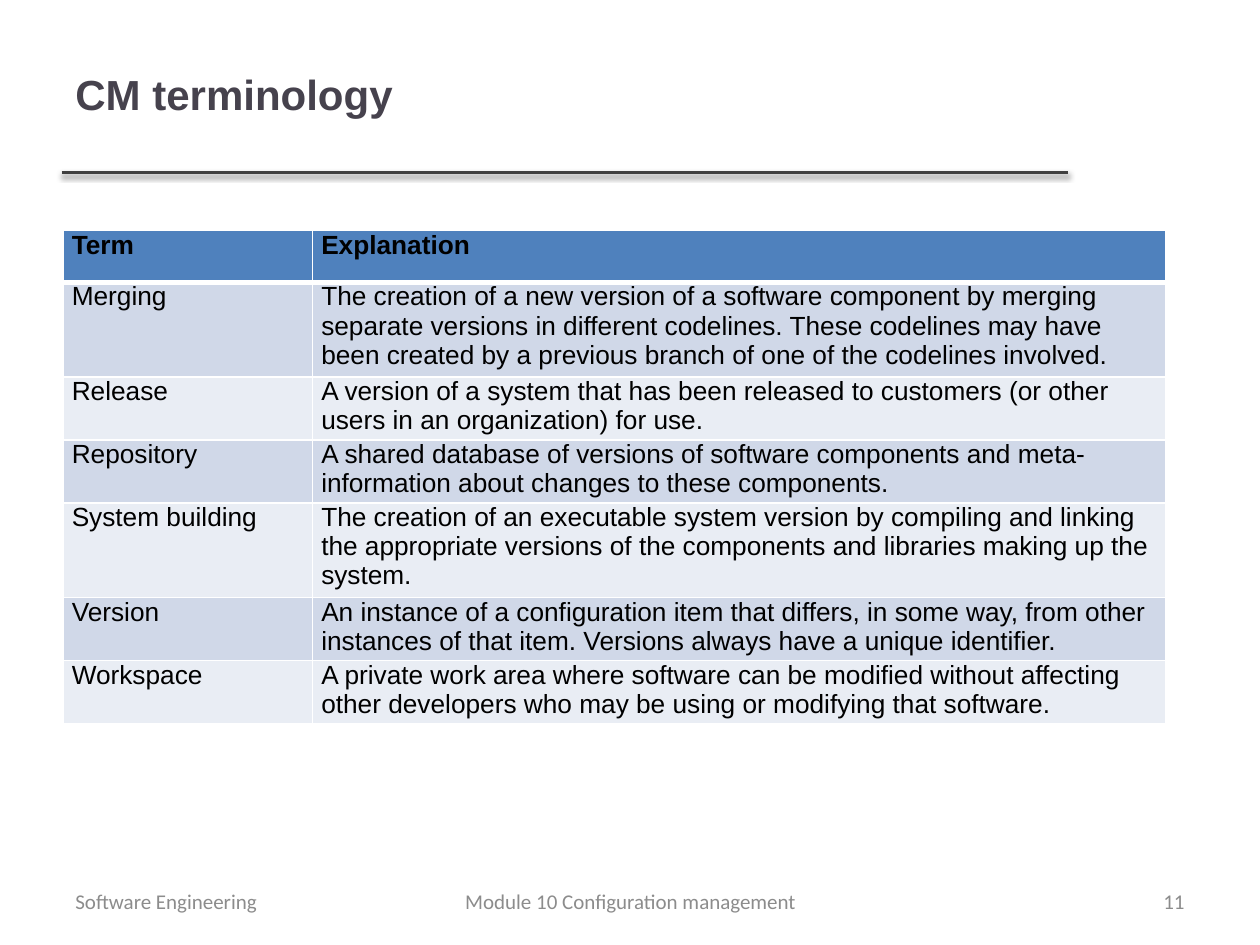
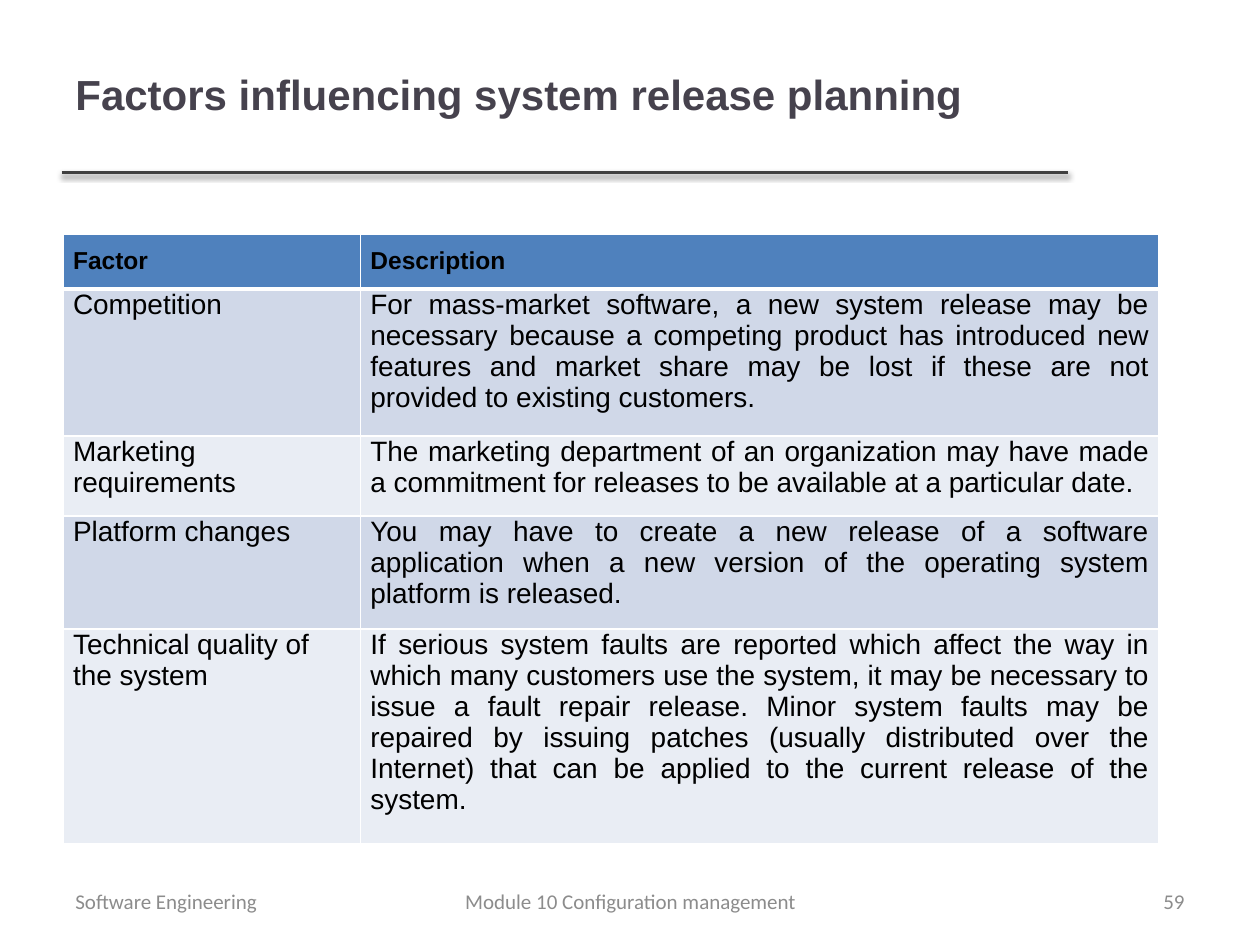
from dataclasses import dataclass

from lxml import etree
from pptx import Presentation
from pptx import util as u
from pptx.dml.color import RGBColor
from pptx.enum import shapes, text
from pptx.oxml import ns

SLIDE_WIDTH, SLIDE_HEIGHT = u.Inches(10), u.Inches(7.5)
COLUMN = SLIDE_WIDTH / 100
ROW = SLIDE_HEIGHT / 75

WHITE, BLACK = "FFFFFF", "000000"
TITLE_COLOR, RULE_COLOR, FOOTER_COLOR = "46424D", "404040", "8C8C8C"
HEADER_FILL = "4F81BD"
BAND_FILLS = ("D0D8E8", "E9EDF4")
LEFT, JUSTIFY = text.PP_ALIGN.LEFT, text.PP_ALIGN.JUSTIFY
TABLE_ROW = 4.1


@dataclass(frozen=True)
class Area:
    left: float
    top: float
    width: float
    height: float

    def lengths(self) -> tuple:
        return (columns(self.left), rows(self.top),
                columns(self.width), rows(self.height))


@dataclass(frozen=True)
class Style:
    size: float
    color: str = BLACK
    font: str = "Arial"
    bold: bool = False
    align: text.PP_ALIGN = LEFT
    space_after: float = 0


@dataclass(frozen=True)
class Insets:
    side: float
    top: float
    bottom: float


@dataclass(frozen=True)
class TableDesign:
    area: Area
    widths: tuple
    header: Style
    term: Style
    explanation: Style
    header_insets: Insets
    body_insets: Insets


@dataclass(frozen=True)
class Footer:
    area: Area
    align: text.PP_ALIGN
    wording: str


@dataclass(frozen=True)
class TableSlide:
    title: str
    number: int
    design: TableDesign
    entries: tuple


TITLE_AREA = Area(5, 1.2, 79.8, 12.5)
TITLE_STYLE = Style(24, TITLE_COLOR, bold=True)
RULE_LEFT, RULE_RIGHT, RULE_TOP = 4.9, 84.8, 13.7
FOOTERS = (
    Footer(Area(34.2, 69.5, 31.7, 4), text.PP_ALIGN.CENTER,
           "Module 10 Configuration management"),
    Footer(Area(71.7, 69.5, 23.3, 4), text.PP_ALIGN.RIGHT, "{number}"),
    Footer(Area(5, 69.5, 23.3, 4), LEFT, "Software Engineering"),
)

TERMINOLOGY = TableSlide(
    "CM terminology", 11,
    TableDesign(
        Area(5, 18.3, 87.5, 39.1), (19.8, 67.7),
        Style(15, bold=True, align=JUSTIFY, space_after=2),
        Style(15, space_after=2), Style(15, space_after=2),
        Insets(0.7, 0, 0), Insets(0.7, 0, 0)),
    (
        ("Term", "Explanation"),
        ("Merging",
         "The creation of a new version of a software component by merging "
         "separate versions in different codelines. These codelines may have "
         "been created by a previous branch of one of the codelines involved."),
        ("Release",
         "A version of a system that has been released to customers (or other "
         "users in an organization) for use."),
        ("Repository",
         "A shared database of versions of software components and "
         "meta-information about changes to these components."),
        ("System building",
         "The creation of an executable system version by compiling and "
         "linking the appropriate versions of the components and libraries "
         "making up the system."),
        ("Version",
         "An instance of a configuration item that differs, in some way, from "
         "other instances of that item. Versions always have a unique "
         "identifier."),
        ("Workspace",
         "A private work area where software can be modified without affecting "
         "other developers who may be using or modifying that software."),
    ))

RELEASE_FACTORS = TableSlide(
    "Factors influencing system release planning", 59,
    TableDesign(
        Area(5, 18.6, 87, 48.3), (23.6, 63.4),
        Style(14, bold=True, align=JUSTIFY),
        Style(16), Style(16, align=JUSTIFY),
        Insets(0.8, 1, 1), Insets(0.8, 0, 1)),
    (
        ("Factor", "Description"),
        ("Competition",
         "For mass-market software, a new system release may be necessary "
         "because a competing product has introduced new features and market "
         "share may be lost if these are not provided to existing customers."),
        ("Marketing requirements",
         "The marketing department of an organization may have made a "
         "commitment for releases to be available at a particular date."),
        ("Platform changes",
         "You may have to create a new release of a software application when "
         "a new version of the operating system platform is released."),
        ("Technical quality of the system",
         "If serious system faults are reported which affect the way in which "
         "many customers use the system, it may be necessary to issue a fault "
         "repair release. Minor system faults may be repaired by issuing "
         "patches (usually distributed over the Internet) that can be applied "
         "to the current release of the system."),
    ))


def columns(count: float) -> int:
    return round(count * COLUMN)


def rows(count: float) -> int:
    return round(count * ROW)


def rgb(color: str) -> RGBColor:
    return RGBColor.from_string(color)


def add_node(parent, tag: str, **attributes):
    return etree.SubElement(parent, ns.qn(tag), attributes)


def write(frame, wording: str, style: Style) -> None:
    para = frame.paragraphs[0]
    para.alignment = style.align
    para.space_after = u.Pt(style.space_after)
    span = para.add_run()
    span.text = wording
    span.font.name = style.font
    span.font.size = u.Pt(style.size)
    span.font.bold = style.bold
    span.font.color.rgb = rgb(style.color)


def add_text(page, area: Area, wording: str, style: Style) -> None:
    box = page.shapes.add_textbox(*area.lengths())
    frame = box.text_frame
    frame.word_wrap = True
    frame.vertical_anchor = text.MSO_ANCHOR.MIDDLE
    write(frame, wording, style)


def add_rule(page) -> None:
    rule = page.shapes.add_connector(
        shapes.MSO_CONNECTOR.STRAIGHT, columns(RULE_LEFT), rows(RULE_TOP),
        columns(RULE_RIGHT), rows(RULE_TOP))
    rule.line.color.rgb = rgb(RULE_COLOR)
    rule.line.width = u.Pt(2)
    effects = add_node(rule._element.spPr, "a:effectLst")
    shadow = add_node(effects, "a:outerShdw", blurRad=str(u.Pt(3.1)),
                      dist=str(u.Pt(1.6)), dir="5400000", rotWithShape="0")
    shade = add_node(shadow, "a:srgbClr", val=BLACK)
    add_node(shade, "a:alpha", val="38000")


def set_borders(cell, top: float, bottom: float) -> None:
    properties = cell._tc.get_or_add_tcPr()
    widths = {"a:lnL": 1, "a:lnR": 1, "a:lnT": top, "a:lnB": bottom}
    for position, (tag, width) in enumerate(widths.items()):
        border = add_node(properties, tag, w=str(u.Pt(width)))
        fill = add_node(border, "a:solidFill")
        add_node(fill, "a:srgbClr", val=WHITE)
        properties.insert(position, border)


def fill_cell(cell, wording: str, style: Style, insets: Insets,
              color: str) -> None:
    cell.margin_left = cell.margin_right = columns(insets.side)
    cell.margin_top = rows(insets.top)
    cell.margin_bottom = rows(insets.bottom)
    cell.fill.solid()
    cell.fill.fore_color.rgb = rgb(color)
    write(cell.text_frame, wording, style)


def add_terms(page, design: TableDesign, entries: tuple) -> None:
    holder = page.shapes.add_table(
        len(entries), len(design.widths), *design.area.lengths())
    table = holder.table
    for column, width in zip(table.columns, design.widths):
        column.width = columns(width)
    for index, entry in enumerate(entries):
        table.rows[index].height = rows(TABLE_ROW)
        is_header = index == 0
        styles = ((design.header, design.header) if is_header
                  else (design.term, design.explanation))
        insets = design.header_insets if is_header else design.body_insets
        color = HEADER_FILL if is_header else BAND_FILLS[(index - 1) % 2]
        for cell, wording, style in zip(table.rows[index].cells, entry, styles):
            fill_cell(cell, wording, style, insets, color)
            set_borders(cell, top=3 if index == 1 else 1,
                        bottom=3 if is_header else 1)
    holder.height = rows(design.area.height)


def add_slide(deck, content: TableSlide) -> None:
    page = deck.slides.add_slide(deck.slide_layouts[6])
    page.background.fill.solid()
    page.background.fill.fore_color.rgb = rgb(WHITE)
    add_rule(page)
    add_text(page, TITLE_AREA, content.title, TITLE_STYLE)
    add_terms(page, content.design, content.entries)
    for footer in FOOTERS:
        add_text(page, footer.area, footer.wording.format(number=content.number),
                 Style(12, FOOTER_COLOR, "Calibri", align=footer.align))


def main() -> None:
    deck = Presentation()
    deck.slide_width, deck.slide_height = SLIDE_WIDTH, SLIDE_HEIGHT
    for content in (TERMINOLOGY, RELEASE_FACTORS):
        add_slide(deck, content)
    deck.save("out.pptx")


if __name__ == "__main__":
    main()
